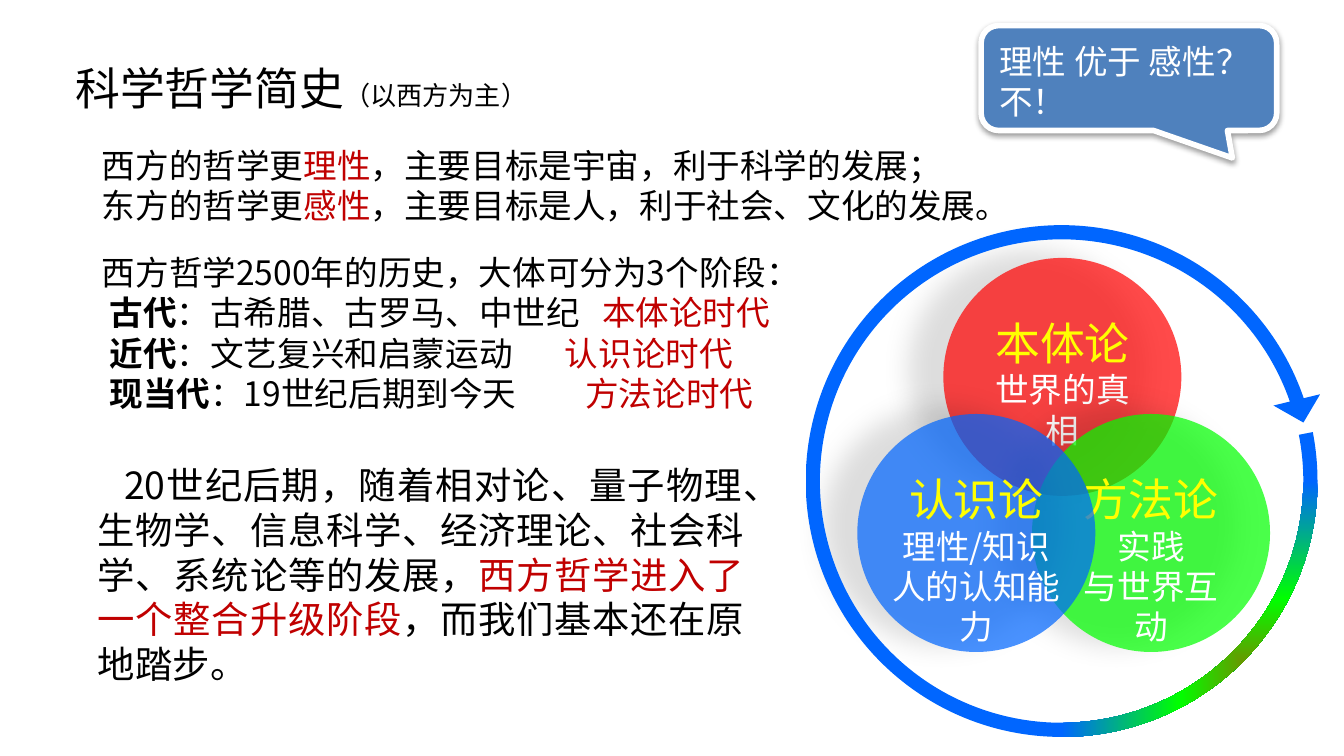
from pptx import Presentation
from pptx.dml.color import RGBColor
from pptx.enum import shapes, text
from pptx.oxml import parse_xml
from pptx.oxml.ns import nsdecls
from pptx.util import Pt

FONT = "Noto Sans CJK SC"
HUES = {
    "ink": "000000", "paper": "FFFFFF", "deep": "C00000", "title": "FFFF00",
    "red": "FF0000", "green": "00FF00", "blue": "0066FF", "steel": "4F81BD",
}
LEFT, MID, JUST = text.PP_ALIGN.LEFT, text.PP_ALIGN.CENTER, text.PP_ALIGN.JUSTIFY
FORM = shapes.MSO_SHAPE


def xml(tag, body="", attrs=""):
    return parse_xml(f"<a:{tag} {nsdecls('a')} {attrs}>{body}</a:{tag}>")


def place(shape, box):
    shape.left, shape.top, shape.width, shape.height = map(Pt, box)


def write(frame, paras, align=LEFT, size=18, hue="ink"):
    """Fill a frame; a paragraph is a list of (words, {size, hue, bold}) runs."""
    frame.word_wrap = True
    frame.auto_size = text.MSO_AUTO_SIZE.NONE
    frame.vertical_anchor = text.MSO_ANCHOR.TOP
    frame.margin_left = frame.margin_right = Pt(7.2)
    drop = 0.1 * size
    frame.margin_top, frame.margin_bottom = Pt(3.6 + drop), Pt(3.6 - drop)
    for i, runs in enumerate(paras):
        para = frame.add_paragraph() if i else frame.paragraphs[0]
        para.alignment = align
        para.space_before = Pt(0)
        top = max(look.get("size", size) for _, look in runs)
        para.line_spacing = Pt(round(1.2 * top, 2))
        for words, look in runs:
            run = para.add_run()
            run.text = words
            font = run.font
            font.size = Pt(look.get("size", size))
            font.bold = look.get("bold", False)
            font.color.rgb = RGBColor.from_string(HUES[look.get("hue", hue)])
            font.name = FONT
            font._element.append(xml("ea", attrs=f'typeface="{FONT}"'))


def note(slide, box, paras, **style):
    frame = slide.shapes.add_textbox(*map(Pt, box)).text_frame
    write(frame, paras, **style)
    return frame


def shade(shape, alpha, blur, dist, angle):
    """Give the shape an outer shadow; alpha in percent, angle in degrees."""
    shape.shadow.inherit = False
    body = (f'<a:outerShdw blurRad="{Pt(blur)}" dist="{Pt(dist)}" '
            f'dir="{angle * 60000}" algn="ctr" rotWithShape="0">'
            f'<a:srgbClr val="{HUES["ink"]}"><a:alpha val="{alpha * 1000}"/>'
            '</a:srgbClr></a:outerShdw>')
    old = shape._element.spPr.find(
        "{http://schemas.openxmlformats.org/drawingml/2006/main}effectLst")
    old.getparent().replace(old, xml("effectLst", body))


def paint(shape, hue):
    shape.fill.solid()
    shape.fill.fore_color.rgb = RGBColor.from_string(HUES[hue])


def disc(slide, box, hue, head, lines, wide):
    x, y, side, _ = box
    ring = slide.shapes.add_shape(FORM.OVAL, *map(Pt, box))
    paint(ring, hue)
    tint = ring.fill._xPr.solidFill[0]
    tint.append(xml("alpha", attrs='val="71000"'))
    ring.line.fill.background()
    shade(ring, 18, 14.5, 19, 192)
    paras = [[(head, {"size": 24, "hue": "title"})]]
    paras += [[(line, {})] for line in lines]
    note(slide, (x + (side - wide) / 2, y + 25.5, wide, 28.8 + 25 * len(lines)),
         paras, align=MID, hue="paper")


def cycle(slide, box):
    """Three overlapping discs inside a round arrow."""
    x, y, side, _ = box
    size = 127.5
    discs = [
        (82.8, 26.6, "red", "本体论", ["世界的真相"], 98),
        (130.3, 110.2, "green", "方法论", ["实践", "与世界互动"], 98),
        (36.7, 110.2, "blue", "认识论", ["理性/知识", "人的认知能力"], 114.5),
    ]
    for dx, dy, *rest in discs:
        disc(slide, (x + dx, y + dy, size, size), *rest)
    arrow = slide.shapes.add_shape(FORM.CIRCULAR_ARROW, *map(Pt, box))
    arrow.shadow.inherit = False
    arrow.line.fill.background()
    for i, value in enumerate((0.026, 3.263, 204.577, 209.383, 0.044)):
        arrow.adjustments[i] = value
    stops = "".join(
        f'<a:gs pos="{at * 1000}"><a:srgbClr val="{HUES[hue]}"/></a:gs>'
        for at, hue in ((0, "red"), (57, "green"), (100, "blue")))
    fade = xml("gradFill", f'<a:gsLst>{stops}</a:gsLst><a:path path="rect">'
               '<a:fillToRect l="100000" t="100000"/></a:path>',
               'rotWithShape="1"')
    arrow._element.spPr.prstGeom.addnext(fade)


def heading(slide, box):
    title = slide.shapes.title
    place(title, box)
    write(title.text_frame,
          [[("科学哲学简史", {}), ("（以西方为主）", {"size": 14})]], size=24)


def views(slide, box):
    rows = [
        ("西方的哲学更", "理性", "，主要目标是宇宙，利于科学的发展；"),
        ("东方的哲学更", "感性", "，主要目标是人，利于社会、文化的发展。"),
    ]
    note(slide, box, [[(start, {}), (key, {"hue": "deep"}), (rest, {})]
                      for start, key, rest in rows])


def eras(slide, box):
    rows = [
        (" 古代", "：古希腊、古罗马、中世纪", "本体论时代", 268),
        (" 近代", "：文艺复兴和启蒙运动", "认识论时代", 248),
        (" 现当代", "：19世纪后期到今天", "方法论时代", 259),
    ]
    paras = [[("西方哲学2500年的历史，大体可分为3个阶段：", {})]]
    paras += [[(name, {"bold": True}), (span + "\t", {}), (era, {"hue": "deep"})]
              for name, span, era, _ in rows]
    frame = note(slide, box, paras, align=JUST)
    for para, row in zip(frame.paragraphs[1:], rows):
        stop = f'<a:tab pos="{Pt(row[-1])}" algn="l"/>'
        para._p.get_or_add_pPr().append(xml("tabLst", stop))


def close(slide, box):
    runs = [
        ("20世纪后期，随着相对论、量子物理、生物学、信息科学、经济理论、"
         "社会科学、系统论等的发展，", {}),
        ("西方哲学进入了一个整合升级阶段", {"hue": "deep"}),
        ("，而我们基本还在原地踏步。", {}),
    ]
    frame = note(slide, box, [runs], align=JUST, size=20)
    props = frame.paragraphs[0]._p.get_or_add_pPr()
    props.set("marL", "0")
    props.set("indent", str(Pt(14)))


def callout(slide, box):
    bubble = slide.shapes.add_shape(FORM.ROUNDED_RECTANGULAR_CALLOUT,
                                    *map(Pt, box))
    for i, value in enumerate((0.35, 0.762, 0.167)):
        bubble.adjustments[i] = value
    paint(bubble, "steel")
    bubble.line.color.rgb = RGBColor.from_string(HUES["paper"])
    bubble.line.width = Pt(3)
    shade(bubble, 38, 3.1, 1.6, 90)
    write(bubble.text_frame, [[("理性 优于 感性？", {})], [("不！", {})]],
          hue="paper")
    bubble.text_frame.vertical_anchor = text.MSO_ANCHOR.MIDDLE


def main():
    deck = Presentation()
    deck.slide_width, deck.slide_height = Pt(720), Pt(405)
    slide = deck.slides.add_slide(deck.slide_layouts[5])
    cycle(slide, (422.6, 111.6, 292.3, 292.3))
    heading(slide, (33.1, 26.6, 259.2, 36))
    eras(slide, (47.5, 129.6, 409.7, 116.6))
    views(slide, (47.5, 72, 505.4, 51.1))
    callout(slide, (525.6, 13.7, 158.4, 56.2))
    close(slide, (45.4, 241.9, 360, 128.2))
    deck.save("out.pptx")


if __name__ == "__main__":
    main()
